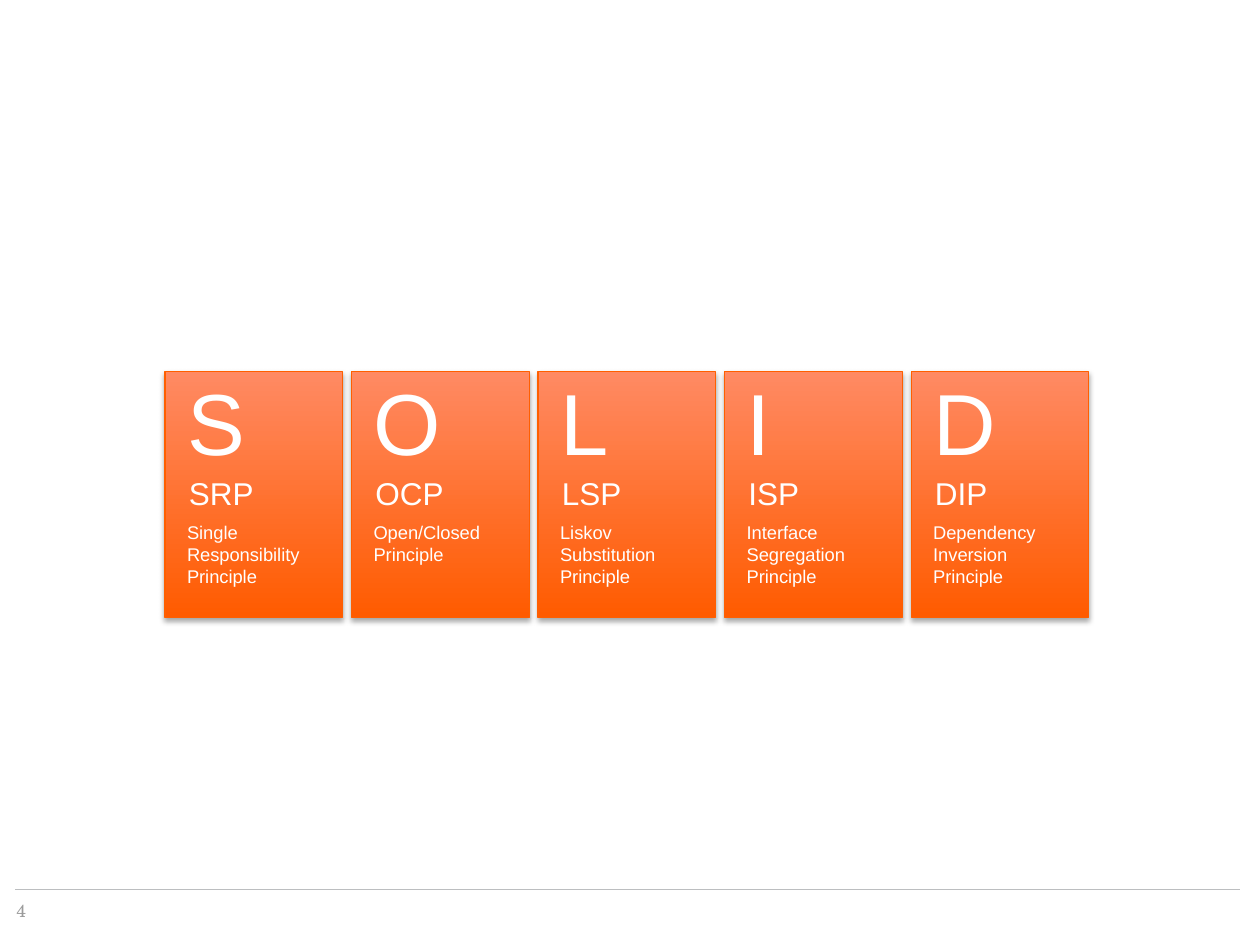
"""Build the slide that names the five SOLID principles."""
from lxml import etree
from pptx import Presentation
from pptx.dml.color import RGBColor
from pptx.enum import shapes, text
from pptx.oxml import ns
from pptx.util import Pt

COLORS = {
    "bottom": "FF5B00", "top": "FF8A63", "edge": "FF5F00", "shadow": "000000",
    "text": "FFFFFF", "rule": "BCBEC0", "number": "9B9B9B",
}
PRINCIPLES = [
    ("S", "SRP", ["Single Responsibility Principle"]),
    ("O", "OCP", ["Open/Closed Principle"]),
    ("L", "LSP", ["Liskov", "Substitution Principle"]),
    ("I", "ISP", ["Interface Segregation Principle"]),
    ("D", "DIP", ["Dependency Inversion", "Principle"]),
]
CARD_LEFT, CARD_TOP, CARD_WIDTH, CARD_HEIGHT = 94.3, 212.4, 101.5, 140.4
CARD_PITCH = 106.6


def color(name):
    return RGBColor.from_string(COLORS[name])


def add_shadow(shape):
    shape.shadow.inherit = False
    effects = shape._element.spPr.find(ns.qn("a:effectLst"))
    outer = etree.SubElement(effects, ns.qn("a:outerShdw"), blurRad=str(Pt(3.1)),
                             dist=str(Pt(1.8)), dir="5400000", rotWithShape="0")
    tint = etree.SubElement(outer, ns.qn("a:srgbClr"), val=COLORS["shadow"])
    etree.SubElement(tint, ns.qn("a:alpha"), val="35000")


def add_card(page, left):
    card = page.shapes.add_shape(shapes.MSO_SHAPE.RECTANGLE, Pt(left), Pt(CARD_TOP),
                                 Pt(CARD_WIDTH), Pt(CARD_HEIGHT))
    card.fill.gradient()
    card.fill.gradient_angle = 90
    for stop, name in zip(card.fill.gradient_stops, ("bottom", "top")):
        stop.color.rgb = color(name)
    card.line.color.rgb = color("edge")
    card.line.width = Pt(0.75)
    add_shadow(card)


def add_text(page, left, top, width, height, lines, size,
             font="Arial", tone="text", margins=(7.2, 3.6)):
    box = page.shapes.add_textbox(Pt(left), Pt(top), Pt(width), Pt(height))
    frame = box.text_frame
    frame.word_wrap = True
    frame.vertical_anchor = text.MSO_ANCHOR.TOP
    frame.margin_left = frame.margin_right = Pt(margins[0])
    frame.margin_top = frame.margin_bottom = Pt(margins[1])
    for index, line in enumerate(lines):
        para = frame.add_paragraph() if index else frame.paragraphs[0]
        span = para.add_run()
        span.text = line
        span.font.name = font
        span.font.size = Pt(size)
        span.font.color.rgb = color(tone)


def add_principle(page, left, letter, short, name):
    add_card(page, left)
    add_text(page, left + 5.5, 207.4, 60, 67, [letter], 49.5)
    add_text(page, left + 6.5, 267.1, 60, 29, [short], 18)
    add_text(page, left + 5.5, 294.5, 90.7, 45.4, name, 10.5)


def add_footer(page):
    rule = page.shapes.add_connector(shapes.MSO_CONNECTOR.STRAIGHT,
                                     Pt(8.6), Pt(508.3), Pt(708.5), Pt(508.3))
    rule.line.color.rgb = color("rule")
    rule.line.width = Pt(0.75)
    etree.SubElement(rule._element.spPr, ns.qn("a:effectLst"))
    add_text(page, 9.4, 514.1, 22.3, 14.4, ["4"], 10,
             font="TeX Gyre Schola", tone="number", margins=(0, 0))


def main():
    deck = Presentation()
    deck.slide_width, deck.slide_height = Pt(720), Pt(540)
    page = deck.slides.add_slide(deck.slide_layouts[6])
    for index, principle in enumerate(PRINCIPLES):
        add_principle(page, CARD_LEFT + index * CARD_PITCH, *principle)
    add_footer(page)
    deck.save("out.pptx")


if __name__ == "__main__":
    main()
